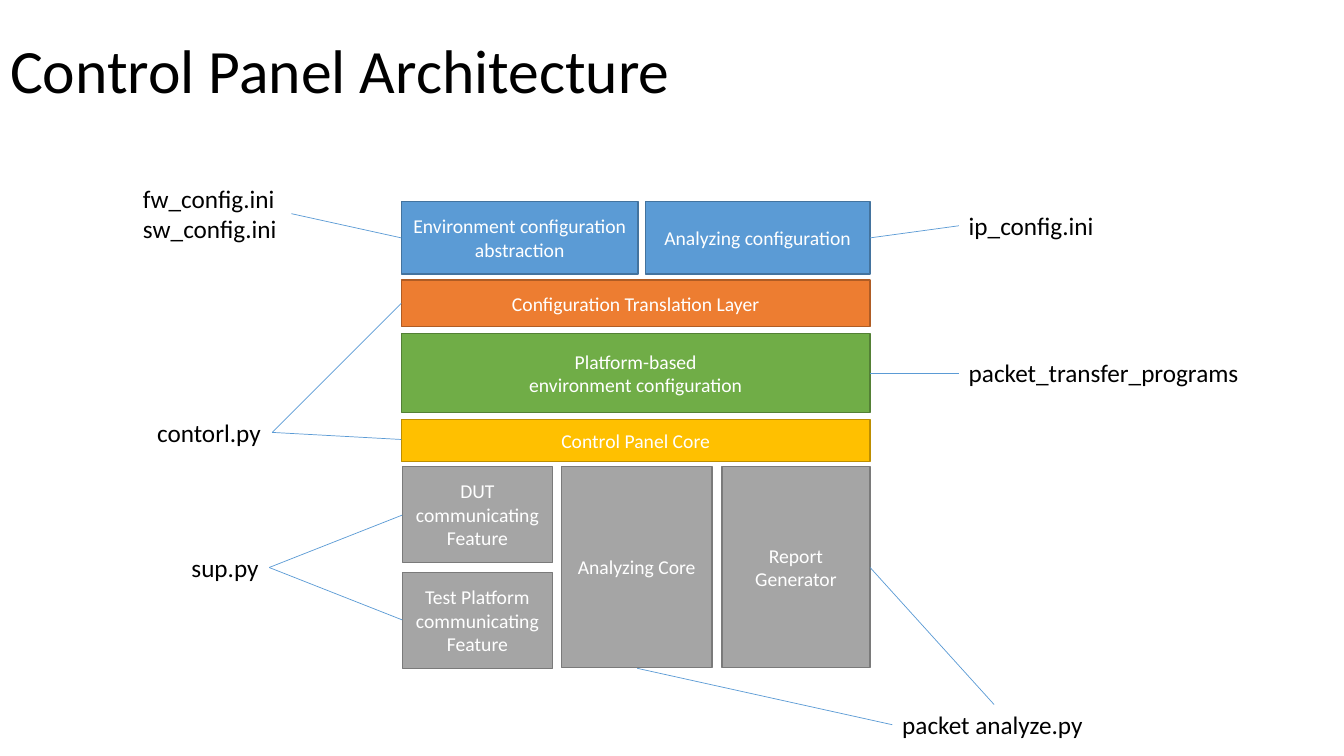
from dataclasses import dataclass

from lxml import etree
from pptx import Presentation
from pptx.dml.color import RGBColor
from pptx.enum import shapes, text
from pptx.oxml import ns
from pptx.util import Inches, Pt


@dataclass(frozen=True)
class Theme:
    """Colours as (fill, outline) pairs, type sizes and the font."""
    font: str = "Calibri"
    title_size: int = 44
    label_size: int = 18
    block_size: int = 14
    ink: str = "000000"
    block_ink: str = "FFFFFF"
    link: str = "5B9BD5"
    config: tuple = ("5B9BD5", "43739E")
    translation: tuple = ("ED7D31", "AF5C24")
    platform: tuple = ("70AD47", "538035")
    core: tuple = ("FFC000", "BD8E00")
    feature: tuple = ("A5A5A5", "7A7A7A")


theme = Theme()


def write(frame, lines, size, color, align):
    """Fill a text frame with one styled paragraph per line."""
    frame.text = "\n".join(lines)
    for paragraph in frame.paragraphs:
        paragraph.alignment = align
        paragraph.font.name = theme.font
        paragraph.font.size = Pt(size)
        paragraph.font.color.rgb = RGBColor.from_string(color)


deck = Presentation()
deck.slide_width, deck.slide_height = Inches(13.33), Inches(7.5)
slide = deck.slides.add_slide(deck.slide_layouts[5])

# Title
title = slide.shapes.title
title.left, title.top = Inches(0), Inches(0)
title.width, title.height = Inches(11.5), Inches(1.45)
write(title.text_frame, ["Control Panel Architecture"], theme.title_size,
      theme.ink, text.PP_ALIGN.LEFT)
title.text_frame.vertical_anchor = text.MSO_ANCHOR.MIDDLE
title.text_frame.auto_size = text.MSO_AUTO_SIZE.NONE
title.text_frame.paragraphs[0].line_spacing = 0.9

# Architecture stack: left, top, width, height, colours, lines
left, full_width = 3.98, 4.65
right = left + full_width
feature_top, feature_left = 4.63, 3.99
blocks = [
    (left, 2, 2.35, 0.72, theme.config,
     ["Environment configuration abstraction"]),
    (6.4, 2, 2.23, 0.72, theme.config, ["Analyzing configuration"]),
    (left, 2.78, full_width, 0.46, theme.translation,
     ["Configuration Translation Layer"]),
    (left, 3.31, full_width, 0.78, theme.platform,
     ["Platform-based", "environment configuration"]),
    (left, 4.16, full_width, 0.42, theme.core, ["Control Panel Core"]),
    (feature_left, feature_top, 1.49, 0.95, theme.feature,
     ["DUT communicating", "Feature"]),
    (feature_left, 5.68, 1.49, 0.95, theme.feature,
     ["Test Platform communicating", "Feature"]),
    (5.57, feature_top, 1.49, 1.99, theme.feature, ["Analyzing Core"]),
    (7.16, feature_top, 1.47, 1.99, theme.feature, ["Report Generator"]),
]
for x, y, width, height, (fill, outline), lines in blocks:
    block = slide.shapes.add_shape(
        shapes.MSO_SHAPE.RECTANGLE,
        Inches(x), Inches(y), Inches(width), Inches(height))
    block.shadow.inherit = False
    block.fill.solid()
    block.fill.fore_color.rgb = RGBColor.from_string(fill)
    block.line.color.rgb = RGBColor.from_string(outline)
    block.line.width = Pt(1)
    block.text_frame.word_wrap = True
    block.text_frame.vertical_anchor = text.MSO_ANCHOR.MIDDLE
    write(block.text_frame, lines, theme.block_size, theme.block_ink,
          text.PP_ALIGN.CENTER)

# Files behind each block: left, top, width, height, lines
files = [
    (1.32, 1.77, 1.57, 0.71, ["fw_config.ini", "sw_config.ini"]),
    (9.51, 2.04, 1.46, 0.4, ["ip_config.ini"]),
    (9.51, 3.5, 2.9, 0.4, ["packet_transfer_programs"]),
    (1.46, 4.09, 1.24, 0.4, ["contorl.py"]),
    (1.8, 5.43, 0.88, 0.4, ["sup.py"]),
    (8.85, 6.99, 2.01, 0.4, ["packet analyze.py"]),
]
for x, y, width, height, lines in files:
    label = slide.shapes.add_textbox(
        Inches(x), Inches(y), Inches(width), Inches(height))
    label.text_frame.word_wrap = len(lines) > 1
    label.text_frame.auto_size = text.MSO_AUTO_SIZE.SHAPE_TO_FIT_TEXT
    write(label.text_frame, lines, theme.label_size, theme.ink,
          text.PP_ALIGN.LEFT)

# Links from block edge to file label
control_file, support_file = (2.7, 4.29), (2.67, 5.63)
links = [
    ((left, 2.36), (2.89, 2.12)),
    ((right, 2.36), (9.51, 2.24)),
    ((right, 3.7), (9.51, 3.7)),
    ((left, 3.01), control_file),
    ((left, 4.36), control_file),
    ((feature_left, 5.11), support_file),
    ((feature_left, 6.15), support_file),
    ((6.32, 6.63), (8.85, 7.19)),
    ((right, 5.63), (9.86, 6.99)),
]
for start, end in links:
    link = slide.shapes.add_connector(
        shapes.MSO_CONNECTOR.STRAIGHT,
        *(Inches(value) for value in start + end))
    link.line.color.rgb = RGBColor.from_string(theme.link)
    link.line.width = Pt(0.5)
    etree.SubElement(link._element.spPr, ns.qn("a:effectLst"))

deck.save("out.pptx")
